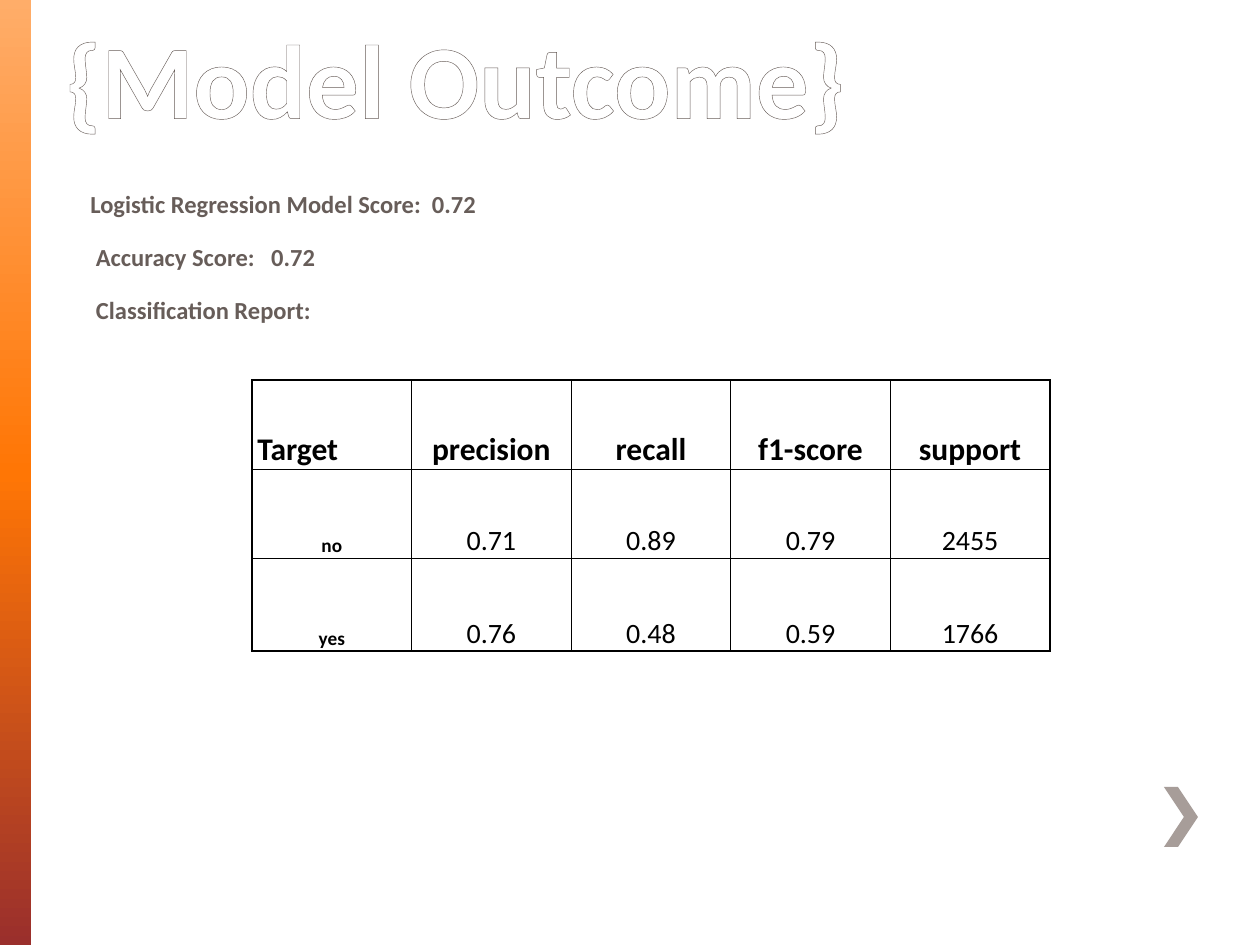
from copy import deepcopy

from lxml.etree import SubElement
from pptx import Presentation
from pptx.dml.color import RGBColor
from pptx.enum.shapes import MSO_SHAPE as Shape
from pptx.enum.text import MSO_ANCHOR as Anchor, MSO_AUTO_SIZE as AutoSize, PP_ALIGN as Align
from pptx.oxml.ns import qn
from pptx.util import Pt

PX = 914400 // 126
FONT = "Calibri"
WHITE = RGBColor(0xFF, 0xFF, 0xFF)
BLACK = RGBColor(0, 0, 0)
BROWN = RGBColor(0x67, 0x5D, 0x59)
TAUPE = RGBColor(0xA7, 0x9D, 0x99)
BAR_STOPS = [
    (0, RGBColor(0xFF, 0xAD, 0x69)),
    (0.5, RGBColor(0xFF, 0x76, 0x05)),
    (1, RGBColor(0x9A, 0x2F, 0x2C)),
]
SCORES = [
    "Logistic Regression Model Score:  0.72",
    " Accuracy Score:   0.72",
    " Classification Report:",
]
REPORT = [
    ["Target", "precision", "recall", "f1-score", "support"],
    ["no", "0.71", "0.89", "0.79", "2455"],
    ["yes", "0.76", "0.48", "0.59", "1766"],
]
ROW_HEIGHTS = [89, 89, 93]


def emu(*lengths):
    return [length * PX for length in lengths]


def add_run(paragraph, text, size, color, bold=False):
    run = paragraph.add_run()
    run.text = text
    font = run.font
    font.name, font.size, font.bold = FONT, Pt(size), bold
    font.color.rgb = color
    return run


def add_line(parent, tag, width, color):
    """Append a solid a:ln-type element to parent."""
    line = SubElement(parent, qn(tag), w=str(Pt(width)))
    fill = SubElement(line, qn("a:solidFill"))
    SubElement(fill, qn("a:srgbClr"), val=str(color))
    return line


def add_side_bar(slide, x, y, width, height):
    bar = slide.shapes.add_shape(Shape.RECTANGLE, *emu(x, y, width, height))
    bar.shadow.inherit = False
    bar.line.fill.background()
    bar.fill.gradient()
    bar.fill.gradient_angle = 270
    # The default gradient has two stops; a third is needed
    stop_list = bar._element.spPr.find(qn("a:gradFill")).find(qn("a:gsLst"))
    stop_list.append(deepcopy(stop_list[-1]))
    for stop, (position, color) in zip(bar.fill.gradient_stops, BAR_STOPS):
        stop.position = position
        stop.color.rgb = color


def add_chevron(slide, x, y, width, height):
    notch, middle = 20, height // 2
    arm = width - notch
    points = [(0, 0), (notch, middle), (0, height), (arm, height), (width, middle)]
    builder = slide.shapes.build_freeform(x + arm, y, scale=PX)
    builder.add_line_segments([(x + dx, y + dy) for dx, dy in points])
    chevron = builder.convert_to_shape()
    chevron.shadow.inherit = False
    chevron.fill.solid()
    chevron.fill.fore_color.rgb = TAUPE
    chevron.line.fill.background()


def add_title(slide, x, y, width, height):
    title = slide.shapes.title
    title.left, title.top, title.width, title.height = emu(x, y, width, height)
    frame = title.text_frame
    frame.auto_size = AutoSize.NONE
    frame.word_wrap = True
    frame.vertical_anchor = Anchor.BOTTOM
    paragraph = frame.paragraphs[0]
    paragraph.alignment = Align.LEFT
    run = add_run(paragraph, "{Model Outcome}", 60, WHITE, bold=True)
    # Letter outline, which must come first among the run properties
    properties = run.font._element
    properties.insert(0, add_line(properties, "a:ln", 1, BROWN))


def add_scores(slide, x, y, width, height):
    frame = slide.shapes.add_textbox(*emu(x, y, width, height)).text_frame
    frame.word_wrap = True
    for index, text in enumerate(SCORES):
        paragraph = frame.add_paragraph() if index else frame.paragraphs[0]
        paragraph.space_before = Pt(13.5)
        add_run(paragraph, text, 14, BROWN, bold=True)


def set_borders(cell, row, column):
    """Thick lines around the table, thin ones inside."""
    edges = {
        "a:lnL": column == 0,
        "a:lnR": column == len(REPORT[0]) - 1,
        "a:lnT": row == 0,
        "a:lnB": row == len(REPORT) - 1,
    }
    properties = cell._tc.get_or_add_tcPr()
    for index, (tag, is_outer) in enumerate(edges.items()):
        line = add_line(properties, tag, 1 if is_outer else 0.5, BLACK)
        properties.insert(index, line)


def fill_cell(cell, row, column):
    cell.fill.background()
    cell.vertical_anchor = Anchor.BOTTOM
    cell.margin_left = cell.margin_right = cell.margin_top = PX
    cell.margin_bottom = 0
    paragraph = cell.text_frame.paragraphs[0]
    is_corner = row == 0 and column == 0
    paragraph.alignment = Align.LEFT if is_corner else Align.CENTER
    if is_corner:
        add_run(paragraph, " ", 11, BLACK)
    size = 18 if row == 0 else 11 if column == 0 else 16
    add_run(paragraph, REPORT[row][column], size, BLACK, bold=row == 0 or column == 0)
    set_borders(cell, row, column)


def add_report(slide, x, y, width):
    rows, columns = len(REPORT), len(REPORT[0])
    box = emu(x, y, width, sum(ROW_HEIGHTS))
    table = slide.shapes.add_table(rows, columns, *box).table
    table.first_row = table.horz_banding = False
    for column in table.columns:
        column.width = width * PX // columns
    for row, height in enumerate(ROW_HEIGHTS):
        table.rows[row].height = height * PX
        for column in range(columns):
            fill_cell(table.cell(row, column), row, column)


def main():
    presentation = Presentation()
    presentation.slide_width, presentation.slide_height = emu(1260, 945)
    slide = presentation.slides.add_slide(presentation.slide_layouts[5])
    add_side_bar(slide, 0, 0, 31, 945)
    add_chevron(slide, 1164, 787, 34, 60)
    add_title(slide, 53, 10, 998, 136)
    add_scores(slide, 78, 183, 1160, 721)
    add_report(slide, 252, 380, 798)
    presentation.save("out.pptx")


if __name__ == "__main__":
    main()
